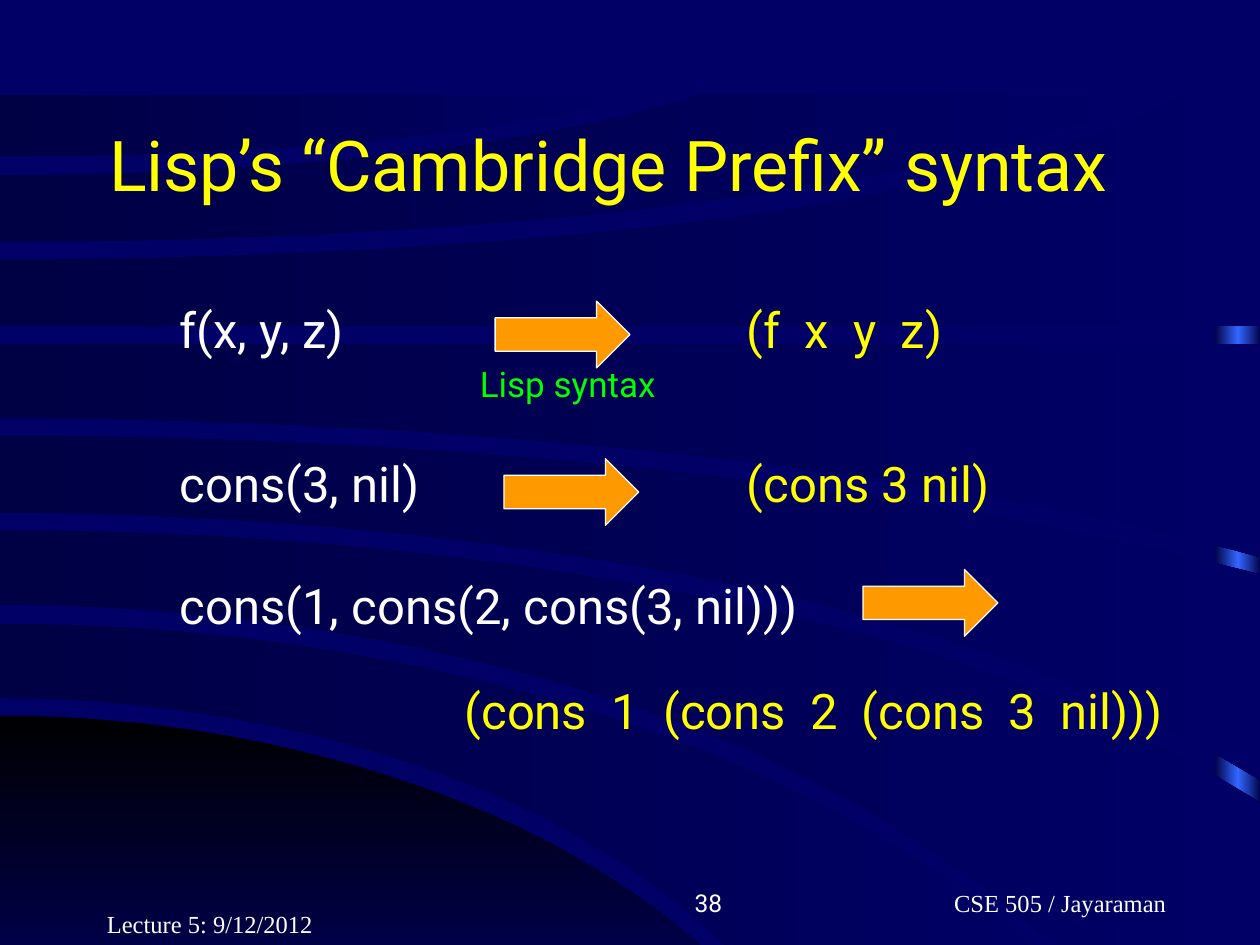
import pptx
import pptx.dml.color
import pptx.enum.shapes
import pptx.enum.text
import pptx.oxml
import pptx.oxml.ns
import pptx.util
from pptx.util import Inches

THEME = {
    "night": "000066", "deep": "000044", "black": "000000", "glow": "3366FF",
    "white": "FFFFFF", "yellow": "FFFF00", "green": "00FF00", "orange": "FF9900",
    "sans": "Roboto", "serif": "Times New Roman",
    "title": 40, "code": 28, "label": 20, "footer": 14,
}

# Each edge of a background band: right end, then height at left, middle and right
PAGE_W, TOP, BOTTOM = 10, 0.75, 8.25
HORIZON = ((6.29, 5.68, 6.18, BOTTOM), (6.29, BOTTOM, BOTTOM, BOTTOM))
BANDS = [
    ((8.94, 4.95, 5.58, BOTTOM), (6.43, 5.54, 6.04, BOTTOM)),
    ((PAGE_W, 4.21, 4.63, 6.37), (9.1, 4.8, 5.45, BOTTOM)),
    ((PAGE_W, 3.46, 3.71, 4.56), (PAGE_W, 4.07, 4.48, 6.19)),
    ((PAGE_W, 2.73, 2.73, 2.73), (PAGE_W, 3.32, 3.56, 4.42)),
    ((9.44, 2.06, 1.85, TOP), (PAGE_W, 2.59, 2.59, 2.59)),
    ((5.57, 1.39, 1.26, TOP), (9.18, 1.92, 1.71, TOP)),
    ((5.02, TOP, TOP, TOP), (5.02, 1.24, 1.15, TOP)),
]
CURVE_STEPS = 24

# text, (left, top, width, height), size, font, colour, alignment, anchor
TEXTS = [
    ("\tCSE 505 / Jayaraman", (6.58, 6.83, 3.17, 0.5), "footer", "serif", "white", "CENTER", "BOTTOM"),
    ("38", (3.75, 6.83, 2.08, 0.5), "footer", "sans", "white", "RIGHT", "BOTTOM"),
    ("Lisp’s “Cambridge Prefix” syntax", (0.58, 0.67, 8.5, 1.25), "title", "sans", "yellow", "CENTER", "MIDDLE"),
    ("Lisp syntax", (3.71, 2.83, 1.64, 0.44), "label", "sans", "green", "LEFT", "TOP"),
    ("Lecture 5: 9/12/2012", (0.75, 7, 2.08, 0.5), "footer", "serif", "white", "LEFT", "BOTTOM"),
]
# call, its top and width; Lisp form, its left, top and width; arrow left and top
CALL_X, LISP_X, ROW_H = 1.33, 5.83, 0.57
EXAMPLES = [
    ("f(x, y, z)", 2.33, 1.92, "(f  x  y  z)", LISP_X, 2.33, 1.92, 3.93, 2.39),
    ("cons(3, nil)", 3.55, 6.42, "(cons 3 nil)", LISP_X, 3.55, 2.14, 4, 3.64),
    ("cons(1, cons(2, cons(3, nil)))", 4.52, 6.42,
     "(cons  1  (cons  2  (cons  3  nil)))", 3.59, 5.35, 5.76, 6.85, 4.52),
]


def colour(name):
    return pptx.dml.color.RGBColor.from_string(THEME[name])


def edge_points(right, start, middle, end):
    """Sample y = start + a*u^2 + b*u^6, level at the left, through middle and end."""
    rise, half_rise = end - start, middle - start
    steep = (rise - 4 * half_rise) * 16 / 15
    points = []
    for step in range(CURVE_STEPS + 1):
        u = step / CURVE_STEPS
        points.append((right * u, start + (rise - steep) * u ** 2 + steep * u ** 6))
    return points


def band_points(upper, lower):
    """Join both edges, with a page-side corner where only one reaches the side."""
    corner = []
    if upper[0] != lower[0] and PAGE_W in (upper[0], lower[0]):
        corner = [(PAGE_W, lower[-1] if upper[0] == PAGE_W else upper[-1])]
    return edge_points(*upper) + corner + edge_points(*lower)[::-1]


def paint_gradient(shape, names, angle=0):
    """Fill with evenly spaced colour stops; angle is clockwise in degrees."""
    shape.shadow.inherit = False
    shape.line.fill.background()
    shape.fill.gradient()
    shape.fill.gradient_angle = -angle % 360
    stops = shape._element.spPr.find(".//" + pptx.oxml.ns.qn("a:gsLst"))
    for stop in list(stops):
        stops.remove(stop)
    for index, name in enumerate(names):
        position = 100000 * index // (len(names) - 1)
        stops.append(pptx.oxml.parse_xml(
            f'<a:gs {pptx.oxml.ns.nsdecls("a")} pos="{position}">'
            f'<a:srgbClr val="{THEME[name]}"/></a:gs>'))


def add_band(page, edges, names, angle=0):
    points = [(Inches(x), Inches(y)) for x, y in band_points(*edges)]
    builder = page.shapes.build_freeform(*points[0], scale=1.0)
    builder.add_line_segments(points[1:], close=True)
    paint_gradient(builder.convert_to_shape(), names, angle)


def add_text(page, text, place, size, font, ink, align="LEFT", anchor="TOP"):
    box = page.shapes.add_textbox(*map(Inches, place))
    frame = box.text_frame
    frame.word_wrap = True
    frame.vertical_anchor = getattr(pptx.enum.text.MSO_ANCHOR, anchor)
    para = frame.paragraphs[0]
    para.alignment = getattr(pptx.enum.text.PP_ALIGN, align)
    span = para.add_run()
    span.text = text
    span.font.size = pptx.util.Pt(THEME[size])
    span.font.name = THEME[font]
    span.font.color.rgb = colour(ink)


def add_arrow(page, left, top):
    arrow = page.shapes.add_shape(
        pptx.enum.shapes.MSO_SHAPE.RIGHT_ARROW, *map(Inches, (left, top, 1.07, 0.53)))
    arrow.shadow.inherit = False
    arrow.fill.solid()
    arrow.fill.fore_color.rgb = colour("orange")
    arrow.line.color.rgb = colour("white")
    arrow.line.width = pptx.util.Pt(0.75)


def main():
    deck = pptx.Presentation()
    deck.slide_width, deck.slide_height = Inches(PAGE_W), Inches(7.5)
    page = deck.slides.add_slide(deck.slide_layouts[6])
    page.background.fill.solid()
    page.background.fill.fore_color.rgb = colour("night")

    edge_glow = page.shapes.add_shape(
        pptx.enum.shapes.MSO_SHAPE.RECTANGLE, *map(Inches, (9.64, 0.77, 0.37, 7.5)))
    paint_gradient(edge_glow, ["deep", "glow", "deep"])
    add_band(page, HORIZON, ["black", "night"], 90)
    for edges in BANDS:
        add_band(page, edges, ["deep", "night"])

    for item in TEXTS:
        add_text(page, *item)
    for call, call_y, call_w, form, form_x, form_y, form_w, arrow_x, arrow_y in EXAMPLES:
        add_text(page, call, (CALL_X, call_y, call_w, ROW_H), "code", "sans", "white")
        add_arrow(page, arrow_x, arrow_y)
        add_text(page, form, (form_x, form_y, form_w, ROW_H), "code", "sans", "yellow")
    deck.save("out.pptx")


if __name__ == "__main__":
    main()
